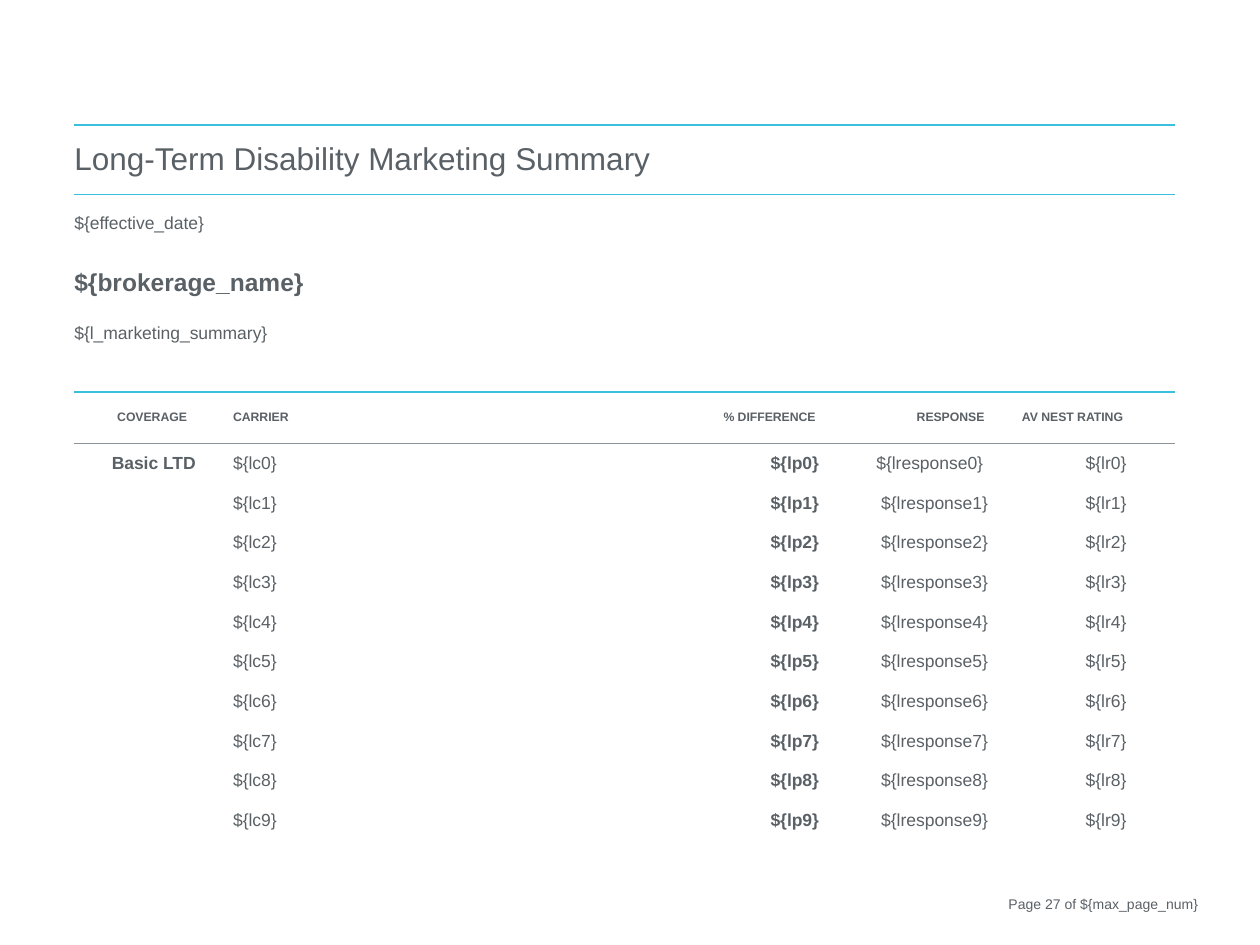
import dataclasses

import lxml.etree
import pptx
import pptx.dml.color
import pptx.enum.text
import pptx.oxml.ns
import pptx.table
import pptx.util

Inches = pptx.util.Inches
Pt = pptx.util.Pt
ALIGN = pptx.enum.text.PP_ALIGN
ANCHOR = pptx.enum.text.MSO_ANCHOR
qn = pptx.oxml.ns.qn

FONT = "Arial"
TEXT_COLOR = "5A6166"
TEAL = "3AC0DA"
GRAY = "8C9499"
NO_COLOR = ""
PLAIN_TABLE_STYLE = "{2D5ABB26-0587-4C30-8999-92F81FD0307C}"
CARRIER_COUNT = 10


@dataclasses.dataclass(frozen=True)
class Column:
    width: float
    heading: str
    entry: str
    align: ALIGN
    bold: bool = False


@dataclasses.dataclass(frozen=True)
class Detail:
    text: str
    size: float
    space_before: float = 0
    bold: bool = False


@dataclasses.dataclass(frozen=True)
class Rule:
    row: int
    color: str
    width: float


COLUMNS = [
    Column(1.26, "COVERAGE ", "", ALIGN.CENTER, True),
    Column(2.21, "CARRIER", "${{lc{}}}", ALIGN.LEFT),
    Column(2.44, "% DIFFERENCE ", "${{lp{}}}", ALIGN.RIGHT, True),
    Column(1.34, "RESPONSE ", "${{lresponse{}}}", ALIGN.RIGHT),
    Column(1.1, "AV NEST RATING ", "${{lr{}}}", ALIGN.RIGHT),
    Column(0.39, "", "", ALIGN.LEFT),
]
DETAILS = [
    Detail("${effective_date}", 10),
    Detail("${brokerage_name}", 14, 20.2, True),
    Detail("${l_marketing_summary}", 10, 15.4),
]
RULES = [
    Rule(0, TEAL, 1),
    Rule(1, TEAL, 0.5),
    Rule(2, TEAL, 1),
    Rule(3, GRAY, 0.5),
    Rule(4, NO_COLOR, 0),
]
TITLE_ROW, DETAILS_ROW, HEADING_ROW, FIRST_CARRIER_ROW = range(4)
ROW_HEIGHTS = [0.55, 1.57, 0.41] + [0.315] * CARRIER_COUNT


def rgb(color: str) -> pptx.dml.color.RGBColor:
    return pptx.dml.color.RGBColor.from_string(color)


def write(paragraph, text: str, size: float, bold: bool = False,
          align: ALIGN = ALIGN.LEFT) -> None:
    paragraph.text = text
    paragraph.alignment = align
    for run in paragraph.runs:
        run.font.name = FONT
        run.font.size = Pt(size)
        run.font.bold = bold
        run.font.color.rgb = rgb(TEXT_COLOR)


def write_cell(cell: pptx.table._Cell, text: str, size: float,
               bold: bool = False, align: ALIGN = ALIGN.LEFT) -> None:
    if text:
        write(cell.text_frame.paragraphs[0], text, size, bold, align)


def add_border(cell: pptx.table._Cell, side: str, rule: Rule) -> None:
    properties = cell._tc.get_or_add_tcPr()
    line = lxml.etree.Element(qn(f"a:{side}"), w=str(Pt(rule.width)))
    if rule.color:
        fill = lxml.etree.SubElement(line, qn("a:solidFill"))
        lxml.etree.SubElement(fill, qn("a:srgbClr"), val=rule.color)
    else:
        lxml.etree.SubElement(line, qn("a:noFill"))
    position = len(properties.findall(qn("a:lnT")))
    properties.insert(position, line)


def draw_rule(table: pptx.table.Table, rule: Rule) -> None:
    for column in range(len(COLUMNS)):
        add_border(table.cell(rule.row, column), "lnT", rule)
        if rule.row:
            add_border(table.cell(rule.row - 1, column), "lnB", rule)


def add_summary_table(slide) -> pptx.table.Table:
    table = slide.shapes.add_table(
        len(ROW_HEIGHTS), len(COLUMNS), Inches(0.59), Inches(0.99),
        Inches(sum(column.width for column in COLUMNS)),
        Inches(sum(ROW_HEIGHTS))).table
    table.first_row = False
    table.horz_banding = False
    table._tbl.tblPr.find(qn("a:tableStyleId")).text = PLAIN_TABLE_STYLE
    for table_column, column in zip(table.columns, COLUMNS):
        table_column.width = Inches(column.width)
    for row, height in zip(table.rows, ROW_HEIGHTS):
        row.height = Inches(height)
    for cell in table.iter_cells():
        cell.fill.background()
        cell.margin_left = cell.margin_right = 0
        cell.margin_top = cell.margin_bottom = 0
        cell.vertical_anchor = ANCHOR.MIDDLE
    return table


def fill_details(cell: pptx.table._Cell) -> None:
    cell.vertical_anchor = ANCHOR.TOP
    cell.margin_top = Inches(0.16)
    for index, detail in enumerate(DETAILS):
        frame = cell.text_frame
        paragraph = frame.add_paragraph() if index else frame.paragraphs[0]
        write(paragraph, detail.text, detail.size, detail.bold)
        paragraph.space_before = Pt(detail.space_before)


def fill_carriers(table: pptx.table.Table) -> None:
    for index, column in enumerate(COLUMNS):
        write_cell(table.cell(HEADING_ROW, index), column.heading, 7, True,
                   column.align)
        for carrier in range(CARRIER_COUNT):
            entry = column.entry.format(carrier)
            if carrier == 0 and column.heading == "RESPONSE ":
                entry += " "
            write_cell(table.cell(FIRST_CARRIER_ROW + carrier, index), entry,
                       10, column.bold, column.align)
    write_cell(table.cell(FIRST_CARRIER_ROW, 0), "Basic LTD", 10, True,
               ALIGN.CENTER)


def add_page_number(slide) -> None:
    page_number = slide.shapes.add_textbox(
        Inches(7.36), Inches(7.06), Inches(2.25), Inches(0.33))
    page_number.text_frame.word_wrap = True
    write(page_number.text_frame.paragraphs[0], "Page 27 of ${max_page_num}",
          8, align=ALIGN.RIGHT)


def main() -> None:
    presentation = pptx.Presentation()
    presentation.slide_width = Inches(10)
    presentation.slide_height = Inches(7.5)
    slide = presentation.slides.add_slide(presentation.slide_layouts[6])

    summary = add_summary_table(slide)
    for rule in RULES:
        draw_rule(summary, rule)
    title = summary.cell(TITLE_ROW, 0)
    title.merge(summary.cell(TITLE_ROW, 4))
    write_cell(title, "Long-Term Disability Marketing Summary", 18)
    details = summary.cell(DETAILS_ROW, 0)
    details.merge(summary.cell(DETAILS_ROW, 5))
    fill_details(details)
    fill_carriers(summary)
    add_page_number(slide)

    presentation.save("out.pptx")


if __name__ == "__main__":
    main()
